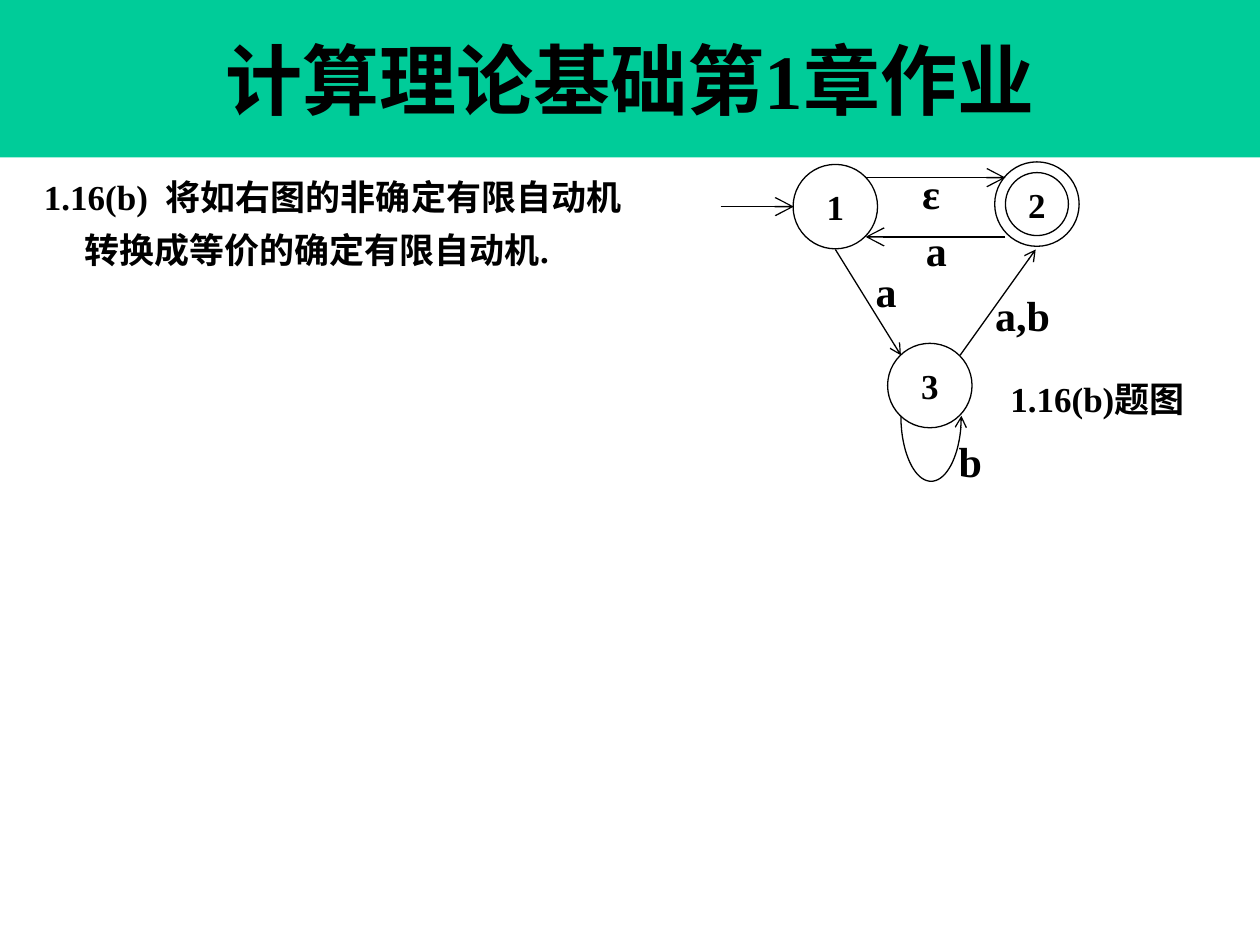
import math
from collections import namedtuple
from pptx import Presentation
from pptx import util as u
from pptx.dml.color import RGBColor
from pptx.enum import shapes, text
from pptx.oxml.ns import qn
from lxml import etree

# Grid of 10 columns by 7.5 rows, one inch each
COLS, ROWS = 10, 7.5
Box = namedtuple("Box", "x y w h")


class Theme:
    band = RGBColor(0x00, 0xCC, 0x99)
    ink = RGBColor(0, 0, 0)
    font = "Times New Roman"
    title, body, label = 44, 20, 24
    line = 0.75
    state_d, accept_d = 0.67, 0.5


def put_text(sp, lines, size, align=None, middle=False, wrap=True, inset=None,
             spacing=None, gap=None, indents=()):
    """Write lines as paragraphs; indents gives a left margin for each one."""
    tf = sp.text_frame
    tf.word_wrap = wrap
    tf.vertical_anchor = text.MSO_ANCHOR.MIDDLE if middle else text.MSO_ANCHOR.TOP
    if inset is not None:
        tf.margin_left = tf.margin_right = tf.margin_top = tf.margin_bottom = u.Inches(inset)
    for i, line in enumerate(lines):
        p = tf.paragraphs[0] if i == 0 else tf.add_paragraph()
        p.alignment = align or text.PP_ALIGN.LEFT
        if spacing:
            p.line_spacing = spacing
        if gap is not None:
            p.space_before = p.space_after = u.Pt(gap)
        if indents:
            p._p.get_or_add_pPr().set("marL", str(u.Inches(indents[i])))
        r = p.add_run()
        r.text = line
        r.font.name, r.font.size, r.font.bold = Theme.font, u.Pt(size), True
        r.font.color.rgb = Theme.ink


def add_text(s, box, lines, size, **fmt):
    sp = s.shapes.add_textbox(*map(u.Inches, box))
    put_text(sp, lines, size, **fmt)


def draw_line(sp, arrow=None):
    sp.line.color.rgb = Theme.ink
    sp.line.width = u.Pt(Theme.line)
    if arrow:
        ln = sp.line._get_or_add_ln()
        etree.SubElement(ln, qn("a:tailEnd"), type="arrow", w=arrow, len=arrow)


def add_circle(s, cx, cy, d):
    sp = s.shapes.add_shape(shapes.MSO_SHAPE.OVAL,
                            *map(u.Inches, (cx - d / 2, cy - d / 2, d, d)))
    sp.shadow.inherit = False
    sp.fill.background()
    draw_line(sp)
    return sp


def add_arrow(s, start, end, size):
    cn = s.shapes.add_connector(shapes.MSO_CONNECTOR.STRAIGHT,
                                *map(u.Inches, (*start, *end)))
    draw_line(cn, size)
    etree.SubElement(cn._element.spPr, qn("a:effectLst"))


def add_loop(s, cx, top, rx, depth, steps=40):
    """Lower half of an ellipse, from left to right, with an arrowhead."""
    pts = [(u.Inches(cx - rx * math.cos(math.pi * i / steps)),
            u.Inches(top + depth * math.sin(math.pi * i / steps)))
           for i in range(steps + 1)]
    fb = s.shapes.build_freeform(*pts[0])
    fb.add_line_segments(pts[1:], close=False)
    sp = fb.convert_to_shape()
    sp.shadow.inherit = False
    sp.fill.background()
    draw_line(sp, "med")


def title_band(s, box):
    sp = s.shapes.add_shape(shapes.MSO_SHAPE.RECTANGLE, *map(u.Inches, box))
    sp.shadow.inherit = False
    sp.fill.solid()
    sp.fill.fore_color.rgb = Theme.band
    sp.line.fill.background()
    put_text(sp, ["计算理论基础第1章作业"], Theme.title,
             align=text.PP_ALIGN.CENTER, middle=True)


def question(s, box):
    add_text(s, box, ["1.16(b)  将如右图的非确定有限自动机", "转换成等价的确定有限自动机."],
             Theme.body, spacing=1.1, gap=2, indents=(0, 0.32))


def automaton(s, box):
    def at(x, y):
        return box.x + x, box.y + y

    # States; the accepting one has a second ring
    states = {"1": (0.93, 0.39), "2": (2.53, 0.37), "3": (1.68, 1.81)}
    for name, centre in states.items():
        sp = add_circle(s, *at(*centre), Theme.state_d)
        put_text(sp, [name], Theme.body, align=text.PP_ALIGN.CENTER,
                 middle=True, wrap=False, inset=0)
    add_circle(s, *at(*states["2"]), Theme.accept_d)

    # Transitions: start, end, arrowhead size
    for start, end, size in [
        ((0.02, 0.39), (0.6, 0.39), "lg"),
        ((1.17, 0.16), (2.28, 0.16), "lg"),
        ((2.28, 0.63), (1.17, 0.63), "lg"),
        ((0.93, 0.73), (1.45, 1.57), "med"),
        ((1.92, 1.57), (2.52, 0.73), "med"),
    ]:
        add_arrow(s, at(*start), at(*end), size)
    add_loop(s, *at(1.69, 2.05), 0.24, 0.52)

    # Transition labels
    for label, x, y in [("ε", 1.52, 0.03), ("a", 1.55, 0.48), ("a", 1.15, 0.81),
                        ("a,b", 2.1, 1), ("b", 1.81, 2.16)]:
        add_text(s, (*at(x, y), 0.75, 0.5), [label], Theme.label)

    # Caption
    add_text(s, (*at(2.22, 1.7), 1.6, 0.8), ["1.16(b)题图"], Theme.body, gap=2)


def main():
    prs = Presentation()
    prs.slide_width, prs.slide_height = u.Inches(COLS), u.Inches(ROWS)
    s = prs.slides.add_slide(prs.slide_layouts[6])
    band = ROWS / 6
    title_band(s, Box(0, 0, COLS, band))
    question(s, Box(0.25, 1.31, 9.56, 1.35))
    automaton(s, Box(5.7, band, 4, 2.7))
    prs.save("out.pptx")


if __name__ == "__main__":
    main()
